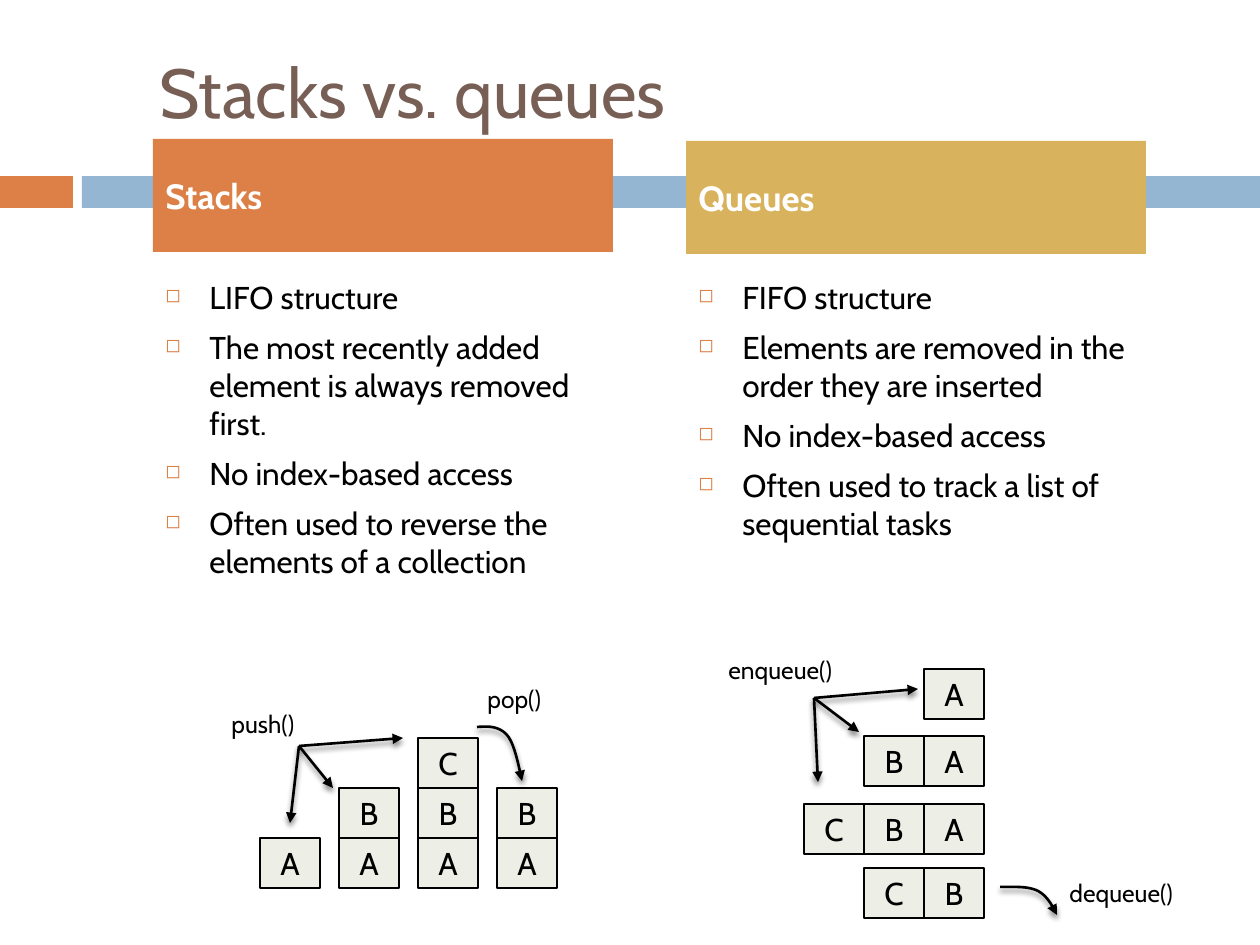
from dataclasses import dataclass

from lxml import etree
from pptx import Presentation
from pptx import util as u
from pptx.dml.color import RGBColor
from pptx.enum import shapes, text
from pptx.oxml.ns import qn

EMU_PER_PX = 914400 / 126
FONT = "Cabin"
BLACK, WHITE, CELL = "000000", "FFFFFF", "EDEEE6"
ORANGE, GOLD, BLUE, BROWN = "DD8047", "D8B25C", "94B6D2", "775F55"
CELL_W, CELL_H = 60, 50
LEFT, MIDDLE = text.PP_ALIGN.LEFT, text.MSO_ANCHOR.MIDDLE

Point = tuple[int, int]


@dataclass
class Topic:
    left: int
    top: int
    name: str
    fill: str
    bullets: list[str]


@dataclass
class Label:
    left: int
    top: int
    width: int
    words: str


@dataclass
class Fan:
    """Arrows that spread from one point."""
    start: Point
    ends: list[Point]


TOPICS = [
    Topic(153, 139, "Stacks", ORANGE, [
        "LIFO structure",
        "The most recently added element is always removed first.",
        "No index-based access",
        "Often used to reverse the elements of a collection"]),
    Topic(686, 141, "Queues", GOLD, [
        "FIFO structure",
        "Elements are removed in the order they are inserted",
        "No index-based access",
        "Often used to track a list of sequential tasks"]),
]
STACKS = ["A", "AB", "ABC", "AB"]  # bottom to top
QUEUES = [(669, "A"), (736, "BA"), (804, "CBA"), (868, "CB")]
LABELS = [
    Label(219, 703, 92, "push()"),
    Label(475, 678, 79, "pop()"),
    Label(716, 649, 132, "enqueue()"),
    Label(1057, 872, 132, "dequeue()"),
]
FANS = [
    Fan((299, 746), [(290, 823), (333, 788), (403, 738)]),
    Fan((814, 698), [(818, 782), (859, 732), (918, 689)]),
]
CURVES = [
    [(477, 727), (488, 726), (499, 726), (507, 735), (514, 743), (518, 762), (522, 781)],
    [(1000, 887), (1014, 887), (1028, 886), (1038, 891), (1047, 896), (1052, 905), (1057, 915)],
]


def px(value: float) -> int:
    return round(value * EMU_PER_PX)


def rgb(value: str) -> RGBColor:
    return RGBColor.from_string(value)


def add_span(para, words: str, size: float, color: str, bold: bool = False) -> None:
    span = para.add_run()
    span.text = words
    span.font.name = FONT
    span.font.size = u.Pt(size)
    span.font.bold = bold
    span.font.color.rgb = rgb(color)


def add_rect(page, left: int, top: int, width: int, height: int, fill: str):
    rect = page.shapes.add_shape(
        shapes.MSO_SHAPE.RECTANGLE, px(left), px(top), px(width), px(height))
    rect.shadow.inherit = False
    rect.fill.solid()
    rect.fill.fore_color.rgb = rgb(fill)
    rect.line.fill.background()
    rect.text_frame.vertical_anchor = MIDDLE
    return rect


def add_cell(page, left: int, top: int, letter: str) -> None:
    cell = add_rect(page, left, top, CELL_W, CELL_H, CELL)
    cell.line.color.rgb = rgb(BLACK)
    cell.line.width = u.Pt(1.5)
    para = cell.text_frame.paragraphs[0]
    para.alignment = text.PP_ALIGN.CENTER
    add_span(para, letter, 18, BLACK)


def add_bullet(para) -> None:
    props = para._p.get_or_add_pPr()
    props.set("marL", str(px(44)))
    props.set("indent", str(-px(44)))
    color = etree.SubElement(props, qn("a:buClr"))
    etree.SubElement(color, qn("a:srgbClr"), val=ORANGE)
    etree.SubElement(props, qn("a:buSzPct"), val="60000")
    etree.SubElement(props, qn("a:buChar"), char="◻")


def add_topic(page, topic: Topic) -> None:
    box = page.shapes.add_textbox(px(topic.left), px(272), px(460), px(353))
    frame = box.text_frame
    frame.word_wrap = True
    for index, words in enumerate(topic.bullets):
        para = frame.add_paragraph() if index else frame.paragraphs[0]
        add_bullet(para)
        if index:
            para.space_before = u.Pt(7)
        add_span(para, words, 18, BLACK)

    header = add_rect(page, topic.left, topic.top, 460, 113, topic.fill)
    para = header.text_frame.paragraphs[0]
    para.alignment = LEFT
    add_span(para, topic.name, 20, WHITE, bold=True)


def add_label(page, label: Label) -> None:
    box = page.shapes.add_textbox(px(label.left), px(label.top), px(label.width), px(43))
    box.text_frame.word_wrap = False
    add_span(box.text_frame.paragraphs[0], label.words, 14, BLACK)


def style_arrow(arrow) -> None:
    """Black line with an end arrowhead and a soft shadow below."""
    arrow.line.color.rgb = rgb(BLACK)
    arrow.line.width = u.Pt(1.5)
    props = arrow._element.spPr
    etree.SubElement(props.find(qn("a:ln")), qn("a:tailEnd"), type="triangle")
    effects = etree.SubElement(props, qn("a:effectLst"))
    shadow = etree.SubElement(effects, qn("a:outerShdw"), blurRad="38100",
                              dist="30000", dir="5400000", rotWithShape="0")
    color = etree.SubElement(shadow, qn("a:srgbClr"), val=BLACK)
    etree.SubElement(color, qn("a:alpha"), val="45000")


def add_fan(page, fan: Fan) -> None:
    for end in fan.ends:
        arrow = page.shapes.add_connector(
            shapes.MSO_CONNECTOR.STRAIGHT, *map(px, fan.start + end))
        style_arrow(arrow)


def bezier(knots: list[Point], t: float) -> tuple[float, float]:
    weights = ((1 - t) ** 3, 3 * t * (1 - t) ** 2, 3 * t * t * (1 - t), t ** 3)
    return (sum(w * x for w, (x, _) in zip(weights, knots)),
            sum(w * y for w, (_, y) in zip(weights, knots)))


def add_curve(page, knots: list[Point], steps: int = 12) -> None:
    """Curved arrow through joined cubic segments, three knots apart."""
    points = [bezier(knots[first:first + 4], step / steps)
              for first in range(0, len(knots) - 1, 3)
              for step in range(1, steps + 1)]
    builder = page.shapes.build_freeform(*map(px, knots[0]))
    builder.add_line_segments([(px(x), px(y)) for x, y in points], close=False)
    curve = builder.convert_to_shape()
    curve.fill.background()
    style_arrow(curve)


def add_title(page, words: str) -> None:
    title = page.shapes.title
    title.left, title.top, title.width, title.height = map(px, (147, 43, 993, 96))
    frame = title.text_frame
    frame.auto_size = text.MSO_AUTO_SIZE.NONE
    frame.vertical_anchor = MIDDLE
    frame.paragraphs[0].alignment = LEFT
    add_span(frame.paragraphs[0], words, 39.6, BROWN)


def main() -> None:
    deck = Presentation()
    deck.slide_width, deck.slide_height = px(1260), px(945)
    page = deck.slides.add_slide(deck.slide_layouts[5])
    add_rect(page, 0, 176, 73, 32, ORANGE)
    add_rect(page, 82, 176, 1178, 32, BLUE)
    add_title(page, "Stacks vs. queues")
    for topic in TOPICS:
        add_topic(page, topic)
    for column, letters in enumerate(STACKS):
        for level, letter in enumerate(letters):
            add_cell(page, 260 + 79 * column, 838 - CELL_H * level, letter)
    for top, letters in QUEUES:
        for place, letter in enumerate(reversed(letters)):
            add_cell(page, 924 - CELL_W * place, top, letter)
    for label in LABELS:
        add_label(page, label)
    for fan in FANS:
        add_fan(page, fan)
    for knots in CURVES:
        add_curve(page, knots)
    deck.save("out.pptx")


if __name__ == "__main__":
    main()
